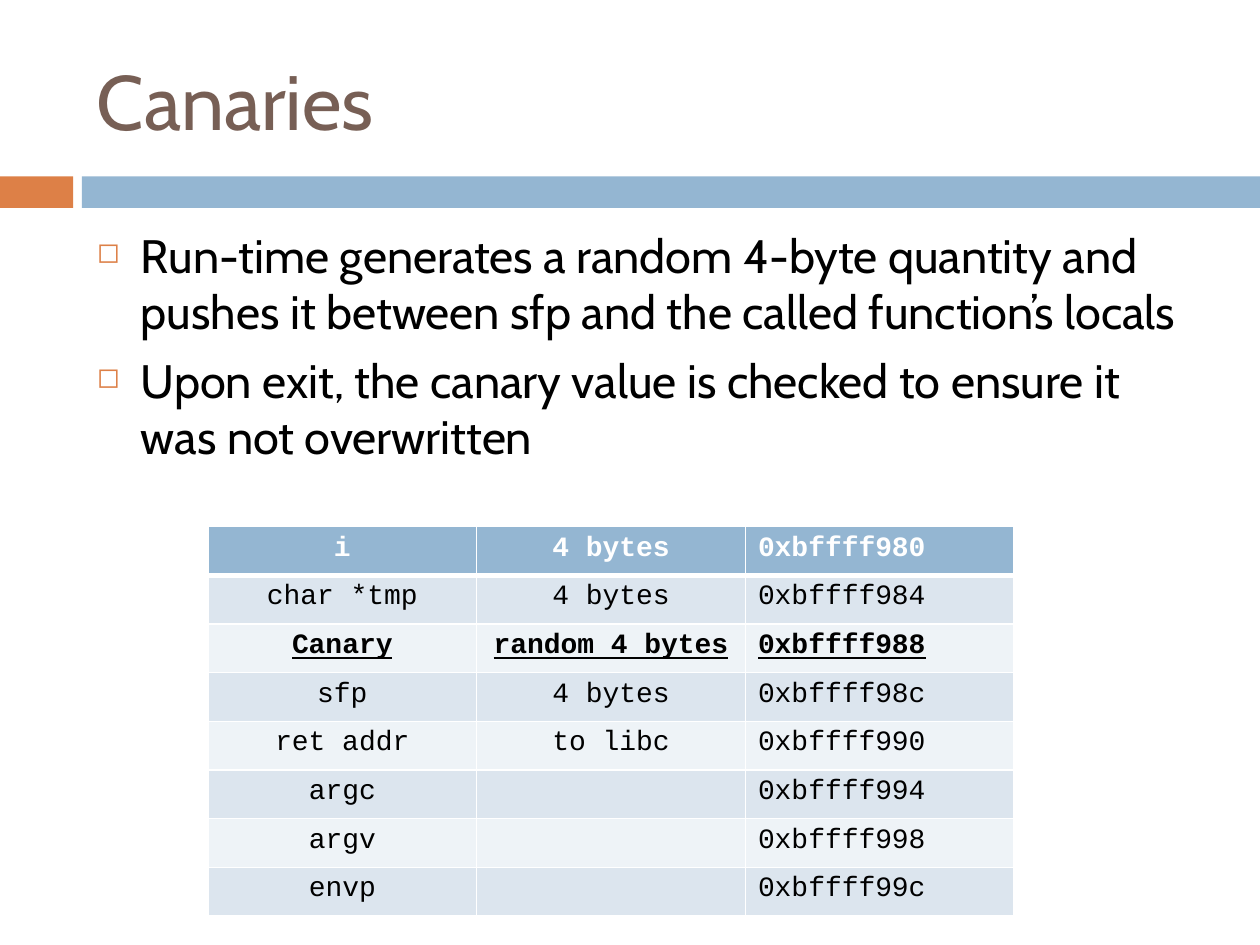
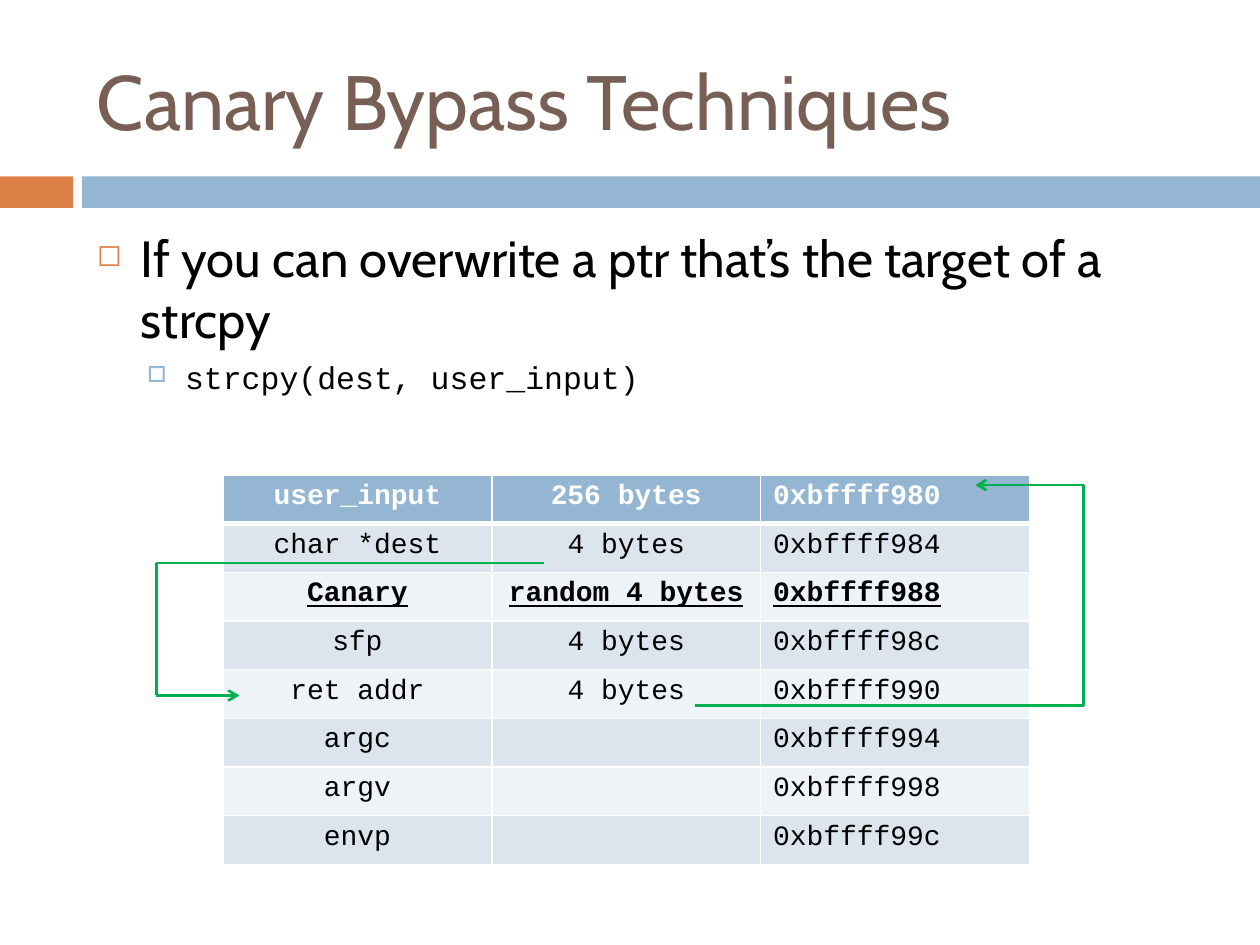
from dataclasses import dataclass
from itertools import pairwise

from lxml.etree import SubElement
from pptx import Presentation
from pptx.dml.color import RGBColor
from pptx.enum.shapes import MSO_CONNECTOR, MSO_SHAPE
from pptx.enum.text import MSO_ANCHOR, PP_ALIGN
from pptx.oxml.ns import qn
from pptx.util import Inches, Pt


@dataclass(frozen=True)
class Theme:
    orange: str = "DD8047"
    blue: str = "94B6D2"
    brown: str = "775F55"
    black: str = "000000"
    white: str = "FFFFFF"
    green: str = "00B050"
    rows: tuple = ("EEF3F7", "DCE5EE")
    sans: str = "Cabin"
    mono: str = "Courier New"
    title_size: float = 44
    code_size: float = 18
    table_size: float = 16
    rule: float = 1
    header_rule: float = 3
    arrow: float = 1.5


THEME = Theme()
TITLE_BOX = (0.67, 0.25, 8.92, 1.08)
BAND_BOX = (0, 1.4, 10, 0.25)
BULLETS = (
    dict(char="\u25fb", color=THEME.orange, percent=60, left=0.35, hang=0.35, before=7),
    dict(char="\u25a1", color=THEME.blue, percent=70, left=0.7, hang=0.3, before=5.5),
)


def rgb(color):
    return RGBColor.from_string(color)


def inches(*lengths):
    return [Inches(length) for length in lengths]


def add_run(paragraph, text, color, **formats):
    run = paragraph.add_run()
    run.text = text
    for attribute, value in formats.items():
        setattr(run.font, attribute, value)
    run.font.color.rgb = rgb(color)


def add_frame(slide, box):
    frame = slide.shapes.add_textbox(*inches(*box)).text_frame
    frame.word_wrap = True
    return frame


def add_title(slide, box, text):
    frame = add_frame(slide, box)
    frame.vertical_anchor = MSO_ANCHOR.MIDDLE
    add_run(frame.paragraphs[0], text, THEME.brown,
            name=THEME.sans, size=Pt(THEME.title_size))


def add_band(slide, box):
    left, top, width, height = box
    tab, bar = 0.58, 0.65
    for start, end, color in ((0, tab, THEME.orange), (bar, width, THEME.blue)):
        block = slide.shapes.add_shape(
            MSO_SHAPE.RECTANGLE, *inches(left + start, top, end - start, height))
        block.shadow.inherit = False
        block.fill.solid()
        block.fill.fore_color.rgb = rgb(color)
        block.line.fill.background()


def set_bullet(paragraph, level):
    bullet = BULLETS[level]
    paragraph.level = level
    paragraph.space_before = Pt(bullet["before"])
    properties = paragraph._p.get_or_add_pPr()
    properties.set("marL", str(Inches(bullet["left"])))
    properties.set("indent", str(-Inches(bullet["hang"])))
    color = SubElement(properties, qn("a:buClr"))
    SubElement(color, qn("a:srgbClr"), val=bullet["color"])
    SubElement(properties, qn("a:buSzPct"), val=str(bullet["percent"] * 1000))
    SubElement(properties, qn("a:buChar"), char=bullet["char"])


def add_points(slide, box, points):
    frame = add_frame(slide, box)
    for index, (level, text, font, size) in enumerate(points):
        paragraph = frame.add_paragraph() if index else frame.paragraphs[0]
        set_bullet(paragraph, level)
        add_run(paragraph, text, THEME.black, name=font, size=Pt(size))


def set_borders(cell, top, bottom):
    properties = cell._tc.get_or_add_tcPr()
    widths = dict(lnL=THEME.rule, lnR=THEME.rule, lnT=top, lnB=bottom)
    for side, width in widths.items():
        edge = SubElement(properties, qn(f"a:{side}"), w=str(Pt(width)))
        fill = SubElement(edge, qn("a:solidFill"))
        SubElement(fill, qn("a:srgbClr"), val=THEME.white)


def fill_cell(cell, text, row, column, emphasis):
    header = row == 0
    set_borders(cell, THEME.header_rule if row == 1 else THEME.rule,
                THEME.header_rule if header else THEME.rule)
    cell.fill.solid()
    cell.fill.fore_color.rgb = rgb(THEME.blue if header else THEME.rows[row % 2])
    paragraph = cell.text_frame.paragraphs[0]
    paragraph.alignment = PP_ALIGN.LEFT if column == 2 else PP_ALIGN.CENTER
    if text:
        add_run(paragraph, text, THEME.white if header else THEME.black,
                name=THEME.mono, size=Pt(THEME.table_size),
                bold=header or emphasis, underline=emphasis)
    else:
        SubElement(paragraph._p, qn("a:endParaRPr"), sz=str(THEME.table_size * 100))


def add_stack(slide, box, variables):
    left, top, width, height = box
    stack = slide.shapes.add_table(len(variables), 3, *inches(*box)).table
    for column in stack.columns:
        column.width = Inches(width / 3)
    for row in stack.rows:
        row.height = Inches(height / len(variables))
    for row, (name, content) in enumerate(variables):
        address = f"0x{0xbffff980 + 4 * row:x}"
        for column, text in enumerate((name, content, address)):
            fill_cell(stack.cell(row, column), text, row, column, name == "Canary")


def add_route(slide, box, corners):
    left, top = box[:2]
    legs = list(pairwise(corners))
    for index, ((x1, y1), (x2, y2)) in enumerate(legs):
        leg = slide.shapes.add_connector(
            MSO_CONNECTOR.STRAIGHT, *inches(left + x1, top + y1, left + x2, top + y2))
        leg.line.color.rgb = rgb(THEME.green)
        leg.line.width = Pt(THEME.arrow)
        SubElement(leg._element.spPr, qn("a:effectLst"))
        if index == len(legs) - 1:
            SubElement(leg.line._get_or_add_ln(), qn("a:tailEnd"), type="arrow")


def add_stack_slide(deck, title, points_box, points, stack_box, variables, routes=()):
    slide = deck.slides.add_slide(deck.slide_layouts[6])
    add_band(slide, BAND_BOX)
    add_title(slide, TITLE_BOX, title)
    add_points(slide, points_box, points)
    add_stack(slide, stack_box, variables)
    for corners in routes:
        add_route(slide, stack_box, corners)


def frame_variables(first, pointer, return_content):
    return [first, (pointer, "4 bytes"), ("Canary", "random 4 bytes"),
            ("sfp", "4 bytes"), ("ret addr", return_content),
            ("argc", ""), ("argv", ""), ("envp", "")]


deck = Presentation()
deck.slide_width, deck.slide_height = inches(10, 7.5)

add_stack_slide(
    deck, "Canaries", (0.67, 1.75, 8.92, 2.02),
    [(0, "Run-time generates a random 4-byte quantity and pushes it between "
         "sfp and the called function\u2019s locals", THEME.sans, 26.8),
     (0, "Upon exit, the canary value is checked to ensure it was not overwritten",
      THEME.sans, 26.8)],
    (1.65, 4.18, 6.4, 3.09),
    frame_variables(("i", "4 bytes"), "char *tmp", "to libc"))

add_stack_slide(
    deck, "Canary Bypass Techniques", (0.67, 1.75, 8.92, 1.82),
    [(0, "If you can overwrite a ptr that\u2019s the target of a strcpy", THEME.sans, 29),
     (1, "strcpy(dest, user_input)", THEME.mono, THEME.code_size)],
    (1.77, 3.77, 6.4, 3.09),
    frame_variables(("user_input", "256 bytes"), "char *dest", "4 bytes"),
    routes=[
        [(2.55, 0.7), (-0.53, 0.7), (-0.53, 1.75), (0.13, 1.75)],
        [(3.75, 1.83), (6.83, 1.83), (6.83, 0.08), (5.97, 0.08)],
    ])

deck.save("out.pptx")
